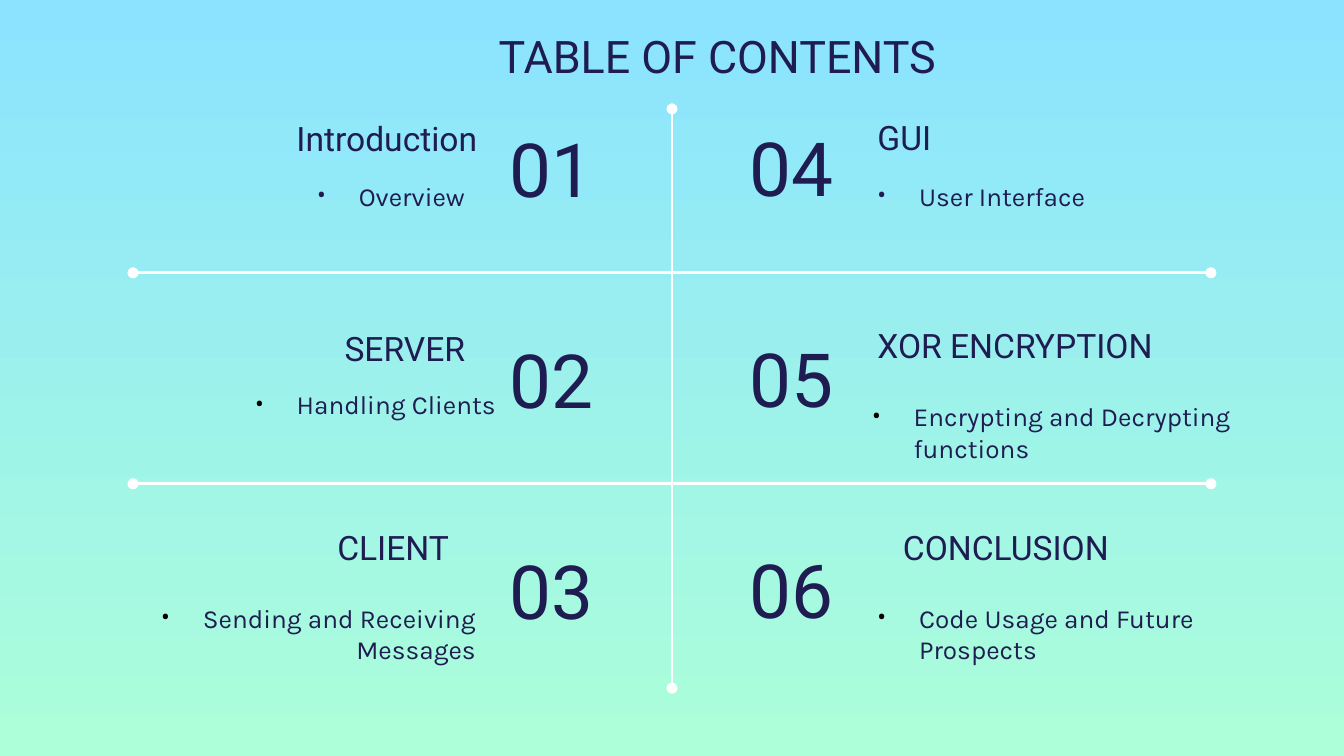
from dataclasses import dataclass

import pptx
import pptx.dml.color
import pptx.enum.shapes
import pptx.enum.text
import pptx.oxml.ns
import pptx.shapes.autoshape
import pptx.slide
import pptx.text.text
import pptx.util
from lxml import etree
from pptx.util import Inches

ALIGN = pptx.enum.text.PP_ALIGN
ANCHOR = pptx.enum.text.MSO_ANCHOR


@dataclass(frozen=True)
class Theme:
    ink: str = "1F1C51"
    black: str = "000000"
    white: str = "FFFFFF"
    sky: str = "8BE3FF"
    mint: str = "ACFFD9"
    heading_font: str = "Roboto"
    body_font: str = "Karla"
    title_size: int = 24
    number_size: int = 40
    heading_size: int = 18
    body_size: int = 14
    line_width: float = 1.5


@dataclass(frozen=True)
class Section:
    heading: str
    detail: str
    heading_at: tuple[float, float]
    detail_at: tuple[float, float]
    bullet_color: str


THEME = Theme()
SLIDE_WIDTH = 10
SLIDE_HEIGHT = SLIDE_WIDTH * 9 / 16
ROWS = 3
ROW_PITCH = 1.57
NUMBER_LEFT = (3.69, 5)
NUMBER_TOP = (0.82, 0.81)  # first row of each column
SECTIONS = [
    Section("Introduction", "Overview", (0.67, 0.78), (0.58, 1.24), THEME.ink),
    Section("SERVER", "Handling Clients", (0.58, 2.34), (0.81, 2.79), THEME.black),
    Section("CLIENT", "Sending and Receiving Messages", (0.46, 3.82), (0.66, 4.38), THEME.black),
    Section("GUI", "User Interface", (6.43, 0.77), (6.43, 1.24), THEME.ink),
    Section("XOR ENCRYPTION", "Encrypting and Decrypting functions", (6.43, 2.32), (6.39, 2.88), THEME.black),
    Section("CONCLUSION", "Code Usage and Future Prospects", (6.62, 3.82), (6.43, 4.38), THEME.black),
]


def rgb(value: str) -> pptx.dml.color.RGBColor:
    return pptx.dml.color.RGBColor.from_string(value)


def write_text(
    box: pptx.shapes.autoshape.Shape, text: str, *, size: float,
    font: str = THEME.heading_font, color: str = THEME.ink,
    align: ALIGN = ALIGN.LEFT, anchor: ANCHOR = ANCHOR.TOP,
) -> pptx.text.text._Paragraph:
    """Fill a box with one formatted paragraph."""
    frame = box.text_frame
    frame.word_wrap = True
    frame.auto_size = pptx.enum.text.MSO_AUTO_SIZE.NONE
    frame.vertical_anchor = anchor
    frame.margin_left = frame.margin_right = Inches(0.1)
    frame.margin_top = frame.margin_bottom = Inches(0.1)
    para = frame.paragraphs[0]
    para.alignment = align
    span = para.add_run()
    span.text = text
    span.font.name = font
    span.font.size = pptx.util.Pt(size)
    span.font.color.rgb = rgb(color)
    return para


def add_box(
    page: pptx.slide.Slide, left: float, top: float, width: float, height: float
) -> pptx.shapes.autoshape.Shape:
    return page.shapes.add_textbox(Inches(left), Inches(top), Inches(width), Inches(height))


def add_bullet(para: pptx.text.text._Paragraph, color: str) -> None:
    properties = para._p.get_or_add_pPr()
    properties.set("marL", str(Inches(0.31)))
    properties.set("indent", str(Inches(-0.31)))
    bullet_color = etree.SubElement(properties, pptx.oxml.ns.qn("a:buClr"))
    etree.SubElement(bullet_color, pptx.oxml.ns.qn("a:srgbClr"), val=color)
    etree.SubElement(properties, pptx.oxml.ns.qn("a:buFont"), typeface=THEME.heading_font)
    etree.SubElement(properties, pptx.oxml.ns.qn("a:buChar"), char="•")


def add_divider(page: pptx.slide.Slide, x1: float, y1: float, x2: float, y2: float) -> None:
    """Draw a white line with a dot at both ends."""
    divider = page.shapes.add_connector(
        pptx.enum.shapes.MSO_CONNECTOR.STRAIGHT, Inches(x1), Inches(y1), Inches(x2), Inches(y2)
    )
    divider.line.color.rgb = rgb(THEME.white)
    divider.line.width = pptx.util.Pt(THEME.line_width)
    outline = divider.line._get_or_add_ln()
    for end in ("a:headEnd", "a:tailEnd"):
        etree.SubElement(outline, pptx.oxml.ns.qn(end), type="oval")
    etree.SubElement(divider._element.spPr, pptx.oxml.ns.qn("a:effectLst"))


def add_section(page: pptx.slide.Slide, index: int, section: Section) -> None:
    column, row = divmod(index, ROWS)
    # The left column reads towards the centre line
    text_align = ALIGN.LEFT if column else ALIGN.RIGHT
    number_align = ALIGN.RIGHT if column else ALIGN.LEFT

    number = add_box(page, NUMBER_LEFT[column], NUMBER_TOP[column] + row * ROW_PITCH, 1.3, 0.86)
    write_text(number, f"{index + 1:02}", size=THEME.number_size,
               align=number_align, anchor=ANCHOR.MIDDLE)

    heading = add_box(page, *section.heading_at, 2.98, 0.5)
    write_text(heading, section.heading, size=THEME.heading_size,
               align=text_align, anchor=ANCHOR.BOTTOM)

    detail = add_box(page, *section.detail_at, 2.98, 0.69)
    para = write_text(detail, section.detail, size=THEME.body_size,
                      font=THEME.body_font, align=text_align)
    add_bullet(para, section.bullet_color)


# Deck and background
deck = pptx.Presentation()
deck.slide_width, deck.slide_height = Inches(SLIDE_WIDTH), Inches(SLIDE_HEIGHT)
page = deck.slides.add_slide(deck.slide_layouts[5])
background = page.background.fill
background.gradient()
background.gradient_angle = 270
for stop, color in zip(background.gradient_stops, (THEME.sky, THEME.mint)):
    stop.color.rgb = rgb(color)

# Title
title = page.shapes.title
title.left, title.top = Inches(3.61), Inches(0.11)
title.width, title.height = Inches(6.65), Inches(0.59)
write_text(title, "TABLE OF CONTENTS", size=THEME.title_size)

# Dividers
add_divider(page, 5, 0.81, 5, 5.12)
for row in range(ROWS - 1):
    y = 2.03 + row * ROW_PITCH
    add_divider(page, 0.99, y, 9.01, y)

# Sections
for index, section in enumerate(SECTIONS):
    add_section(page, index, section)

deck.save("out.pptx")
